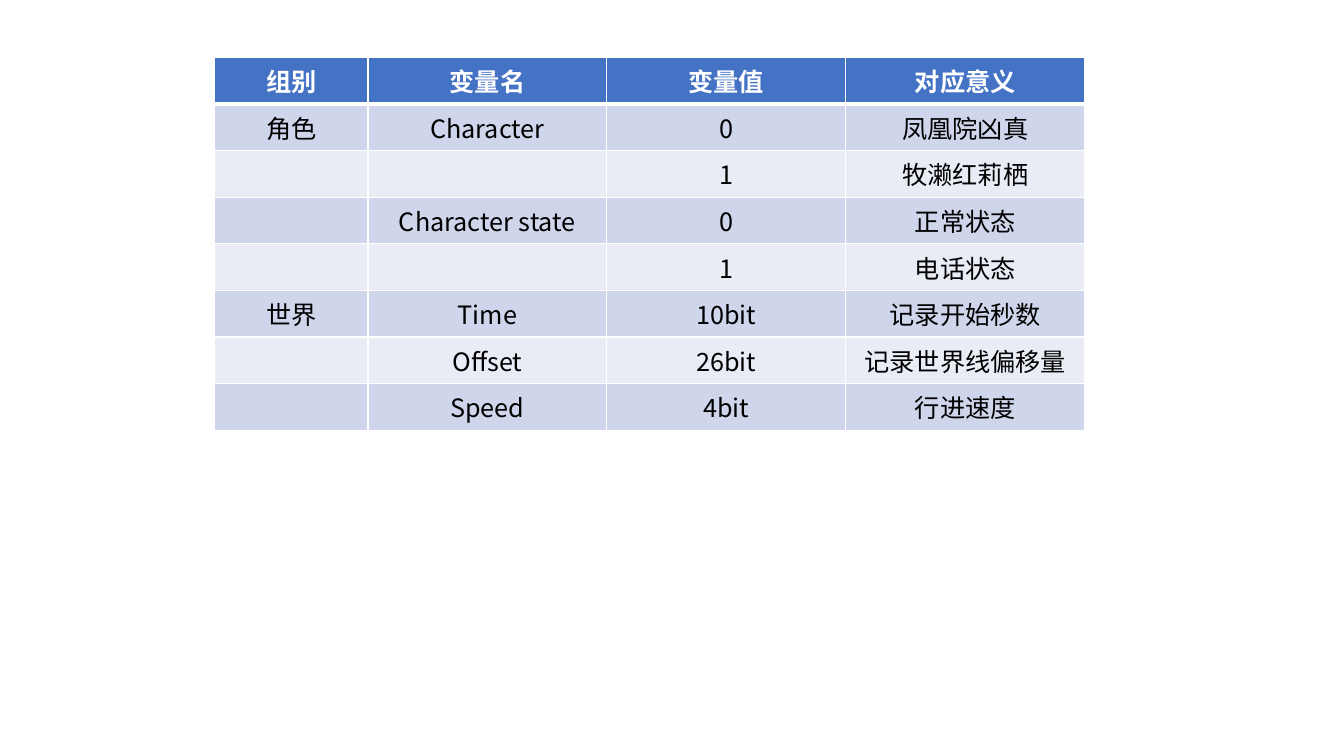
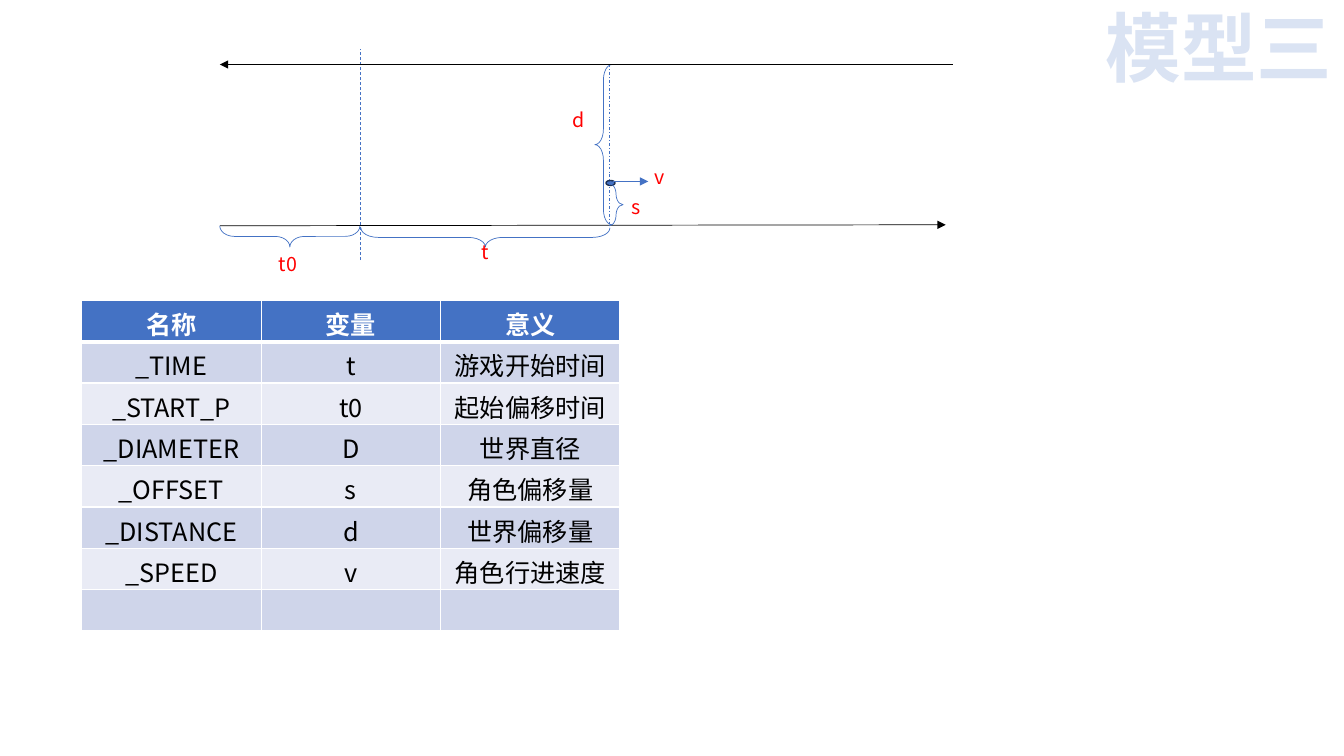
"""Build two slides: a table of game variables and a timeline model with its symbols."""
import pptx
import pptx.chart.data
import pptx.dml.color
import pptx.enum.dml
import pptx.enum.shapes
import pptx.enum.text
import pptx.oxml
import pptx.oxml.ns
import pptx.util

Inches = pptx.util.Inches
Pt = pptx.util.Pt
RGBColor = pptx.dml.color.RGBColor
DASH = pptx.enum.dml.MSO_LINE
SHAPE = pptx.enum.shapes.MSO_SHAPE
CENTER = pptx.enum.text.PP_ALIGN.CENTER
ANCHOR = pptx.enum.text.MSO_ANCHOR

FONT = "Noto Sans CJK SC"
WHITE = RGBColor(0xFF, 0xFF, 0xFF)
BLACK = RGBColor(0, 0, 0)
BLUE = RGBColor(0x44, 0x72, 0xC4)
NAVY = RGBColor(0x1E, 0x32, 0x56)
PALE_BLUE = RGBColor(0xDA, 0xE3, 0xF3)
RED = RGBColor(0xFF, 0, 0)
BANDS = (RGBColor(0xE9, 0xEB, 0xF5), RGBColor(0xCF, 0xD5, 0xEA))
ROW_HEIGHT = 0.41
THIN = 0.5

VARIABLES = [
    ("组别", "变量名", "变量值", "对应意义"),
    ("角色", "Character", "0", "凤凰院凶真"),
    ("", "", "1", "牧濑红莉栖"),
    ("", "Character state", "0", "正常状态"),
    ("", "", "1", "电话状态"),
    ("世界", "Time", "10bit", "记录开始秒数"),
    ("", "Offset", "26bit", "记录世界线偏移量"),
    ("", "Speed", "4bit", "行进速度"),
]
SYMBOLS = [
    ("名称", "变量", "意义"),
    ("_TIME", "t", "游戏开始时间"),
    ("_START_P", "t0", "起始偏移时间"),
    ("_DIAMETER", "D", "世界直径"),
    ("_OFFSET", "s", "角色偏移量"),
    ("_DISTANCE", "d", "世界偏移量"),
    ("_SPEED", "v", "角色行进速度"),
    ("", "", ""),
]
TITLE = "模型三"
LOWER_AXIS = (2.18, 2.24, 9.38, 2.23)
UPPER_AXIS = (9.45, 0.64, 2.18, 0.64)
SPEED_ARROW = (6.08, 1.8, 6.43, 1.8)
POSITION_LINE = (6.04, 0.64, 6.04, 2.23)
START_LINE = (3.57, 2.58, 3.57, 0.49)
DOT = (6.01, 1.79, 0.09, 0.05)
BRACES = [
    ((2.77, 1.65, 0.21, 1.39), 270, 0.69),
    ((4.72, 1.12, 0.19, 2.47), 270, 0.9),
    ((6.04, 1.82, 0.14, 0.42), 180, 0.9),
    ((5.9, 0.64, 0.17, 1.59), 0, 0.9),
]
LABELS = [
    ("t", 4.62, 2.33),
    ("t0", 2.66, 2.45),
    ("s", 6.11, 1.88),
    ("d", 5.54, 1.02),
    ("v", 6.35, 1.59),
]


def add_xml(parent, tag, **attrs):
    child = pptx.oxml.ns.qn(tag)
    node = parent.makeelement(child, attrs)
    parent.append(node)
    return node


def write(tf, text, size, color, bold=False):
    p = tf.paragraphs[0]
    p.alignment = CENTER
    r = p.add_run()
    r.text = text
    r.font.size = Pt(size)
    r.font.bold = bold
    r.font.name = FONT
    r.font.color.rgb = color
    add_xml(r._r.get_or_add_rPr(), "a:ea", typeface=FONT)


def add_text(s, box, text, size, color, bold=False, anchor=ANCHOR.TOP):
    tf = s.shapes.add_textbox(*map(Inches, box)).text_frame
    tf.word_wrap = True
    tf.margin_left = tf.margin_right = 0
    tf.vertical_anchor = anchor
    write(tf, text, size, color, bold)


def add_border(cell, side, width):
    ln = add_xml(cell._tc.get_or_add_tcPr(), f"a:ln{side}", w=str(Pt(width)))
    add_xml(add_xml(ln, "a:solidFill"), "a:srgbClr", val=str(WHITE))


def add_grid(s, rows, left, top, widths, bottom_margin=0.05):
    size = (sum(widths), ROW_HEIGHT * len(rows))
    table = s.shapes.add_table(
        len(rows), len(widths), *map(Inches, (left, top, *size))).table
    for column, width in zip(table.columns, widths):
        column.width = Inches(width)
    for i, row in enumerate(rows):
        table.rows[i].height = Inches(ROW_HEIGHT)
        for j, text in enumerate(row):
            cell = table.cell(i, j)
            cell.margin_bottom = Inches(bottom_margin)
            for side in "LRTB":
                heavy = (i, side) in ((0, "B"), (1, "T"))
                add_border(cell, side, 3 if heavy else 1)
            cell.fill.solid()
            cell.fill.fore_color.rgb = BANDS[i % 2] if i else BLUE
            if text:
                write(cell.text_frame, text, 18, BLACK if i else WHITE, i == 0)


def add_line(s, ends, color, dash=None, arrow=False):
    line = s.shapes.add_connector(
        pptx.enum.shapes.MSO_CONNECTOR.STRAIGHT, *map(Inches, ends))
    line.line.color.rgb = color
    line.line.width = Pt(THIN)
    if dash:
        line.line.dash_style = dash
    if arrow:
        add_xml(line.line._get_or_add_ln(), "a:tailEnd", type="triangle")
    add_xml(line._element.spPr, "a:effectLst")


def add_outline(s, kind, box, color, width):
    sp = s.shapes.add_shape(kind, *map(Inches, box))
    sp.shadow.inherit = False
    sp.fill.background()
    sp.line.color.rgb = color
    sp.line.width = Pt(width)
    return sp


def build_variables(s):
    add_grid(s, VARIABLES, 2.13, 0.57, (1.52, 2.37, 2.37, 2.37))


def build_model(s):
    add_text(s, (10.86, 0, 2.46, 0.92), TITLE, 54, PALE_BLUE, True, ANCHOR.MIDDLE)
    add_line(s, LOWER_AXIS, BLACK, arrow=True)
    add_grid(s, SYMBOLS, 0.81, 2.98, (1.78,) * 3, bottom_margin=0)
    dot = add_outline(s, SHAPE.OVAL, DOT, NAVY, 1)
    dot.fill.solid()
    dot.fill.fore_color.rgb = BLUE
    add_line(s, SPEED_ARROW, BLUE, arrow=True)
    add_line(s, POSITION_LINE, BLUE, DASH.DASH_DOT)
    add_line(s, START_LINE, BLUE, DASH.DASH)
    for box, rotation, curve in BRACES:
        brace = add_outline(s, SHAPE.LEFT_BRACE, box, BLUE, THIN)
        brace.rotation = rotation
        brace.adjustments[0] = curve
    for text, left, top in LABELS:
        add_text(s, (left, top, 0.39, 0.34), text, 14, RED)
    add_line(s, UPPER_AXIS, BLACK, arrow=True)


def main():
    prs = pptx.Presentation()
    prs.slide_width, prs.slide_height = Inches(13.33), Inches(7.5)
    for build in (build_variables, build_model):
        build(prs.slides.add_slide(prs.slide_layouts[6]))
    prs.save("out.pptx")


if __name__ == "__main__":
    main()
